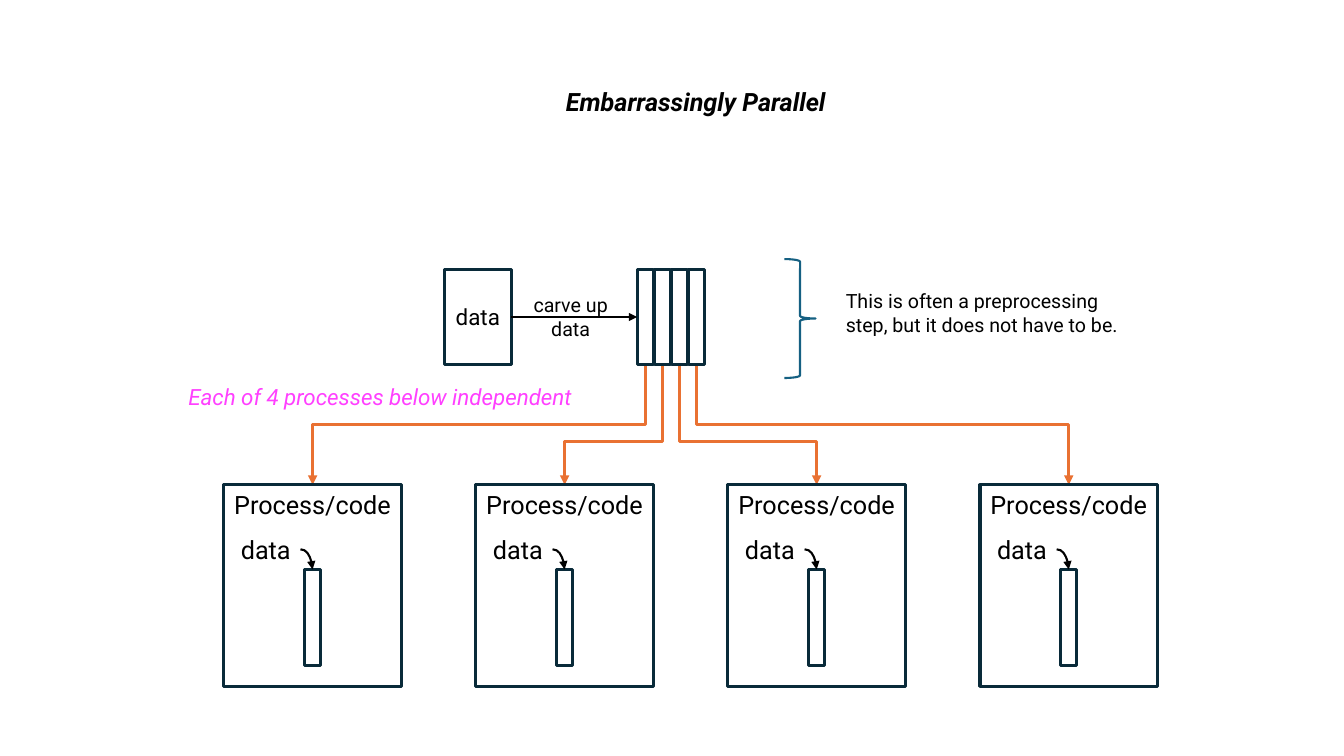
from pptx import Presentation
from pptx.dml.color import RGBColor
from pptx.enum import shapes as s, text as t
from pptx.oxml.ns import qn
from pptx.util import Inches, Pt
from lxml import etree

TITLE = "Embarrassingly Parallel"
NOTE = "This is often a preprocessing step, but it does not have to be."
CLAIM = "Each of 4 processes below independent"
CARVE = "carve up data"
PROC, DATA = "Process/code", "data"
BENDS = [0.5, 0.636, 0.636, 0.5]  # share of the drop before each route turns

THEME = {
    "font": "Roboto", "ink": "000000", "edge": "092A39", "route": "E97132",
    "brace": "156082", "claim": "FF40FF",
    "big": 18, "mid": 16, "small": 14, "thick": 2.25, "thin": 1.5,
}

TOP, TALL = 2.67, 0.95            # data block and its slices
THIN, PITCH, FIRST = 0.16, 0.17, 6.32
LEFT, STEP, BOX_TOP = 2.22, 2.5, 4.81
BOX_W, BOX_H = 1.76, 2


def write(shape, words, size="big", color="ink", bold=False, italic=False,
          align="LEFT", anchor="TOP", wrap=True):
    frame = shape.text_frame
    frame.word_wrap = wrap
    frame.auto_size = t.MSO_AUTO_SIZE.NONE
    frame.vertical_anchor = getattr(t.MSO_ANCHOR, anchor)
    para = frame.paragraphs[0]
    para.alignment = getattr(t.PP_ALIGN, align)
    run = para.add_run()
    run.text = words
    font = run.font
    font.name, font.size = THEME["font"], Pt(THEME[size])
    font.bold, font.italic = bold, italic
    font.color.rgb = RGBColor.from_string(THEME[color])


def stroke(shape, color, width):
    shape.line.color.rgb = RGBColor.from_string(THEME[color])
    shape.line.width = Pt(THEME[width])


def label(tree, area, words, **look):
    box = tree.add_textbox(*map(Inches, area))
    write(box, words, **look)


def outline(tree, area, kind="RECTANGLE", color="edge", width="thick"):
    shape = tree.add_shape(getattr(s.MSO_SHAPE, kind), *map(Inches, area))
    shape.shadow.inherit = False
    shape.fill.background()
    stroke(shape, color, width)
    return shape


def arrow(tree, kind, start, end, color="ink", width="thin"):
    line = tree.add_connector(getattr(s.MSO_CONNECTOR, kind),
                              *map(Inches, start + end))
    stroke(line, color, width)
    etree.SubElement(line.line._get_or_add_ln(), qn("a:tailEnd"), type="triangle")
    etree.SubElement(line.element.spPr, qn("a:effectLst"))
    return line


def route(tree, start, end, bend):
    """Draw an elbow that leaves downwards and enters from above."""
    (x1, y1), (x2, y2) = start, end
    drop, span = y2 - y1, abs(x2 - x1)
    line = arrow(tree, "ELBOW", start, end, "route", "thick")
    line.left = Inches((x1 + x2 - drop) / 2)
    line.top = Inches((y1 + y2 - span) / 2)
    line.width, line.height = Inches(drop), Inches(span)
    props = line.element.spPr
    frame = props.find(qn("a:xfrm"))
    right = x2 > x1
    frame.set("rot", str((270 if right else 90) * 60000))
    frame.set("flipH", "1" if right else "0")
    guides = props.find(qn("a:prstGeom")).find(qn("a:avLst"))
    etree.SubElement(guides, qn("a:gd"), name="adj1",
                     fmla=f"val {round(bend * 100000)}")


def process(tree, x):
    group = tree.add_group_shape().shapes
    box = outline(group, (x, BOX_TOP, BOX_W, BOX_H))
    write(box, PROC, align="CENTER")
    outline(group, (x + (BOX_W - THIN) / 2, 5.65, THIN, TALL))
    label(group, (x + 0.07, 5.25, 0.69, 0.4), DATA, wrap=False)
    curve = arrow(group, "CURVE", (x + 0.76, 5.45), (x + BOX_W / 2, 5.65))
    curve.element.spPr.find(qn("a:prstGeom")).set("prst", "curvedConnector2")


def main():
    deck = Presentation()
    deck.slide_width, deck.slide_height = Inches(13.33), Inches(7.5)
    slide = deck.slides.add_slide(deck.slide_layouts[5])
    tree = slide.shapes

    title = tree.title
    title.left, title.top = Inches(5.44), Inches(0.81)
    title.width, title.height = Inches(2.92), Inches(0.4)
    write(title, TITLE, bold=True, italic=True, align="CENTER", wrap=False)

    for i, bend in enumerate(BENDS):
        route(tree, (FIRST + i * PITCH + THIN / 2, TOP + TALL),
              (LEFT + i * STEP + BOX_W / 2, BOX_TOP), bend)

    whole = outline(tree, (4.41, TOP, 0.66, TALL))
    write(whole, DATA, size="mid", align="CENTER", anchor="MIDDLE")
    slices = [outline(tree, (FIRST + i * PITCH, TOP, THIN, TALL))
              for i in range(len(BENDS))]
    mid = TOP + TALL / 2
    carve = arrow(tree, "STRAIGHT", (5.07, mid), (FIRST, mid))
    carve.begin_connect(whole, 3)
    carve.end_connect(slices[0], 1)

    for i in range(len(BENDS)):
        process(tree, LEFT + i * STEP)

    label(tree, (5.17, 2.86, 0.98, 0.57), CARVE, size="small", align="CENTER")
    outline(tree, (7.78, 2.57, 0.31, 1.18), "RIGHT_BRACE", "brace", "thin")
    label(tree, (8.29, 2.82, 3.09, 0.57), NOTE, size="small")
    label(tree, (1.77, 3.75, 4.05, 0.37), CLAIM, size="mid", color="claim",
          italic=True, wrap=False)
    deck.save("out.pptx")


if __name__ == "__main__":
    main()
